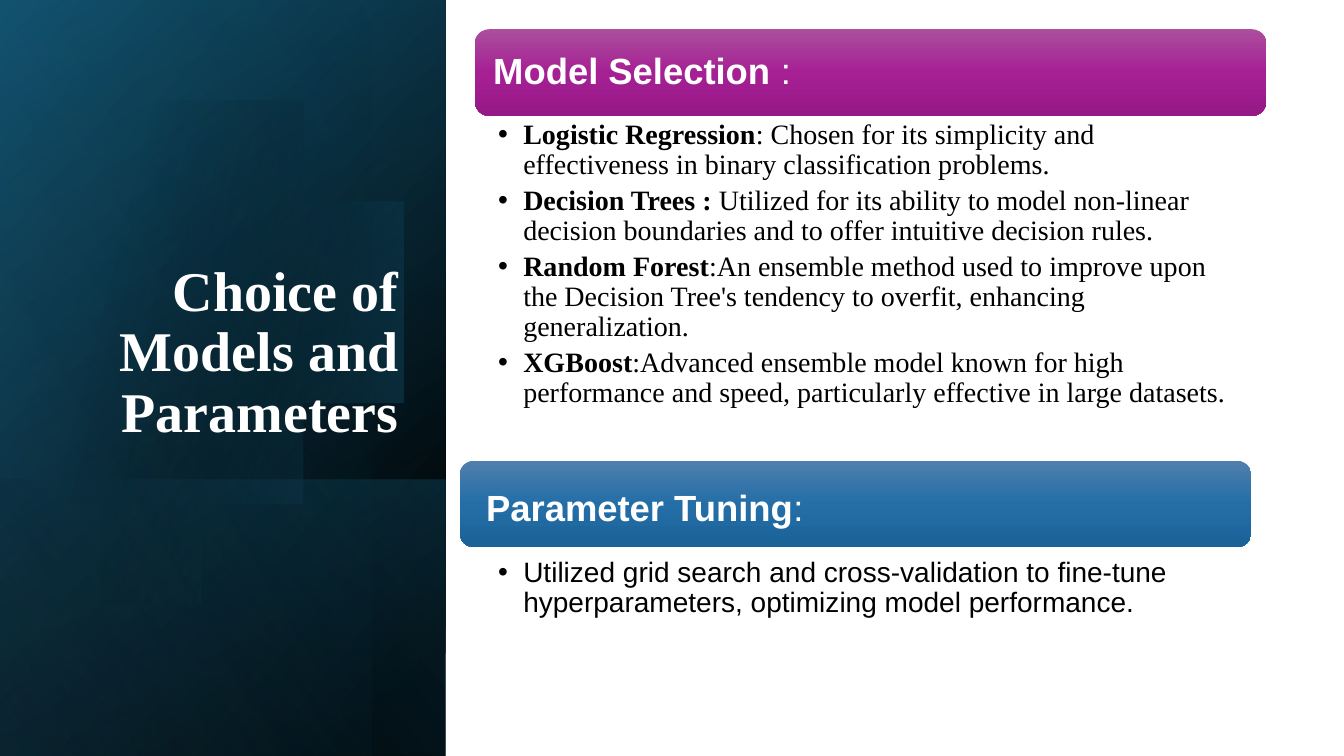
import math
from lxml import etree
from pptx import Presentation
from pptx.dml.color import RGBColor
from pptx.enum.shapes import MSO_SHAPE
from pptx.enum.text import MSO_ANCHOR, MSO_AUTO_SIZE, PP_ALIGN
from pptx.oxml.ns import qn
from pptx.util import Inches, Pt

RECT, ROUND = MSO_SHAPE.RECTANGLE, MSO_SHAPE.ROUNDED_RECTANGLE
TOP, MIDDLE, BOTTOM = MSO_ANCHOR.TOP, MSO_ANCHOR.MIDDLE, MSO_ANCHOR.BOTTOM
LEFT, RIGHT = PP_ALIGN.LEFT, PP_ALIGN.RIGHT
FIXED = MSO_AUTO_SIZE.NONE

THEME = {
    "serif": "Times New Roman", "sans": "Arial",
    "title": 40, "head": 26, "body": 20,
    "light": RGBColor(255, 255, 255), "dark": RGBColor(0, 0, 0),
    # gradient stops: position %, colour, opacity %
    "base": [(0, "000000", 100), (8, "000000", 100), (100, "0F4861", 100)],
    "glow": [(0, "000000", 0), (99, "156082", 46), (100, "156082", 46)],
    "foot": [(0, "156082", 29), (2, "156082", 29), (100, "000000", 30)],
    "disc": [(0, "000000", 0), (29, "000000", 0), (100, "156082", 43)],
    "sheen": [(0, "000000", 0), (99, "43AFE2", 11), (100, "43AFE2", 11)],
    "purple": [(0, "AB4E9D", 100), (50, "A62094", 100), (100, "961886", 100)],
    "blue": [(0, "4F7FAD", 100), (50, "246EA7", 100), (100, "1A6298", 100)],
}

TITLE = "Choice of Models and Parameters"
# Each line is a bold part and a plain part
SECTIONS = [
    {"head": ("Model Selection ", ":"), "fill": "purple", "font": "sans",
     "bar": (4.71, 0.29), "inset": (0.14, 0.05), "list": (1.15, 3.47),
     "face": "serif", "items": [
         ("Logistic Regression", ": Chosen for its simplicity and effectiveness "
          "in binary classification problems."),
         ("Decision Trees : ", "Utilized for its ability to model non-linear "
          "decision boundaries and to offer intuitive decision rules."),
         ("Random Forest", ":An ensemble method used to improve upon the Decision "
          "Tree's tendency to overfit, enhancing generalization."),
         ("XGBoost", ":Advanced ensemble model known for high performance and "
          "speed, particularly effective in large datasets.")]},
    {"head": ("Parameter Tuning", ":"), "fill": "blue", "font": "sans",
     "bar": (4.56, 4.57), "inset": (0.22, 0.16), "list": (5.5, 1.23),
     "face": "sans", "items": [
         ("", "Utilized grid search and cross-validation to fine-tune "
          "hyperparameters, optimizing model performance.")]},
]
WIDE, HIGH = 13.33, 7.5
SIDE = 4.42
BAR_W, BAR_H = 7.85, 0.86
LIST_X = 4.71
# Side panel layers: box, fill, gradient angle; the disc lies under the sheen
UNDER = [((0, 0, SIDE, HIGH), "base", 220), ((0, 0, SIDE, HIGH), "glow", 240),
         ((0, 4.76, SIDE, 2.74), "foot", 140)]
SHEEN = ((0, 0, 3.68, HIGH), "sheen", 150)
DISC = (1.45, 3.38, 2.28)


def shade(shape, name, angle):
    """Fill with a theme gradient, angle clockwise in degrees, no outline."""
    shape.shadow.inherit = False
    shape.line.fill.background()
    shape.fill.gradient()
    grad = shape.fill._xPr.find(qn("a:gradFill"))
    for child in list(grad):
        grad.remove(child)
    stops = etree.SubElement(grad, qn("a:gsLst"))
    for pos, color, alpha in THEME[name]:
        stop = etree.SubElement(stops, qn("a:gs"), pos=str(pos * 1000))
        tint = etree.SubElement(stop, qn("a:srgbClr"), val=color)
        if alpha < 100:
            etree.SubElement(tint, qn("a:alpha"), val=str(alpha * 1000))
    etree.SubElement(grad, qn("a:lin"), ang=str(angle * 60000), scaled="0")


def place(shape, x, y, w, h):
    shape.left, shape.top = Inches(x), Inches(y)
    shape.width, shape.height = Inches(w), Inches(h)


def add_box(slide, kind, box, name, angle):
    shape = slide.shapes.add_shape(kind, *map(Inches, box))
    shade(shape, name, angle)
    return shape


def add_disc(slide):
    """Draw the circle, cut off at the left edge of the slide."""
    cx, cy, r = DISC
    turn = math.acos(-cx / r)
    steps = 120
    angles = [turn * (2 * i / steps - 1) for i in range(steps + 1)]
    points = [(max(0, cx + r * math.cos(a)), cy + r * math.sin(a)) for a in angles]
    path = slide.shapes.build_freeform(*points[0], scale=Inches(1))
    path.add_line_segments(points[1:], close=True)
    shade(path.convert_to_shape(), "disc", 14)


def set_frame(shape, anchor, insets):
    frame = shape.text_frame
    frame.word_wrap, frame.auto_size = True, FIXED
    frame.vertical_anchor = anchor
    (frame.margin_left, frame.margin_top,
     frame.margin_right, frame.margin_bottom) = map(Inches, insets)
    return frame


def write(para, parts, face, size, color, align=LEFT):
    """Write a bold part and a plain part into one paragraph."""
    for text, bold in zip(parts, (True, False)):
        if text:
            run = para.add_run()
            run.text, run.font.bold = text, bold
    font = para.font
    font.name, font.size = THEME[face], Pt(THEME[size])
    font.color.rgb = THEME[color]
    para.alignment, para.line_spacing = align, 0.9
    para.space_before = Pt(0)


def add_section(slide, part, holder):
    bar = add_box(slide, ROUND, (*part["bar"], BAR_W, BAR_H), part["fill"], 90)
    bar.adjustments[0] = 0.167
    left, top = part["inset"]
    frame = set_frame(bar, MIDDLE, (left, top, 0.1, 0.05))
    write(frame.paragraphs[0], part["head"], part["font"], "head", "light")

    y, h = part["list"]
    place(holder, LIST_X, y, BAR_W, h)
    frame = set_frame(holder, TOP, (0.23, 0.04, 0.2, 0.04))
    for i, item in enumerate(part["items"]):
        para = frame.add_paragraph() if i else frame.paragraphs[0]
        write(para, item, part["face"], "body", "dark")
        para.space_before = Pt(4 if i else 0)
        props = para._p.get_or_add_pPr()
        props.set("marL", str(Inches(0.25)))
        props.set("indent", str(-Inches(0.25)))
        etree.SubElement(props, qn("a:buFont"), typeface=THEME["sans"])
        etree.SubElement(props, qn("a:buChar"), char="•")
        props.append(props.find(qn("a:defRPr")))


def main():
    deck = Presentation()
    deck.slide_width, deck.slide_height = Inches(WIDE), Inches(HIGH)
    slide = deck.slides.add_slide(deck.slide_layouts[3])
    title, *lists = list(slide.placeholders)

    for box, name, angle in UNDER:
        add_box(slide, RECT, box, name, angle)
    add_disc(slide)
    add_box(slide, RECT, *SHEEN)

    place(title, 0.64, 1.84, 3.41, 2.62)
    frame = set_frame(title, BOTTOM, (0.1, 0.05, 0.1, 0.05))
    write(frame.paragraphs[0], (TITLE, ""), "serif", "title", "light", RIGHT)
    slide.shapes._spTree.append(title._element)  # bring above the panel

    for part, holder in zip(SECTIONS, lists):
        add_section(slide, part, holder)
    deck.save("out.pptx")


if __name__ == "__main__":
    main()
